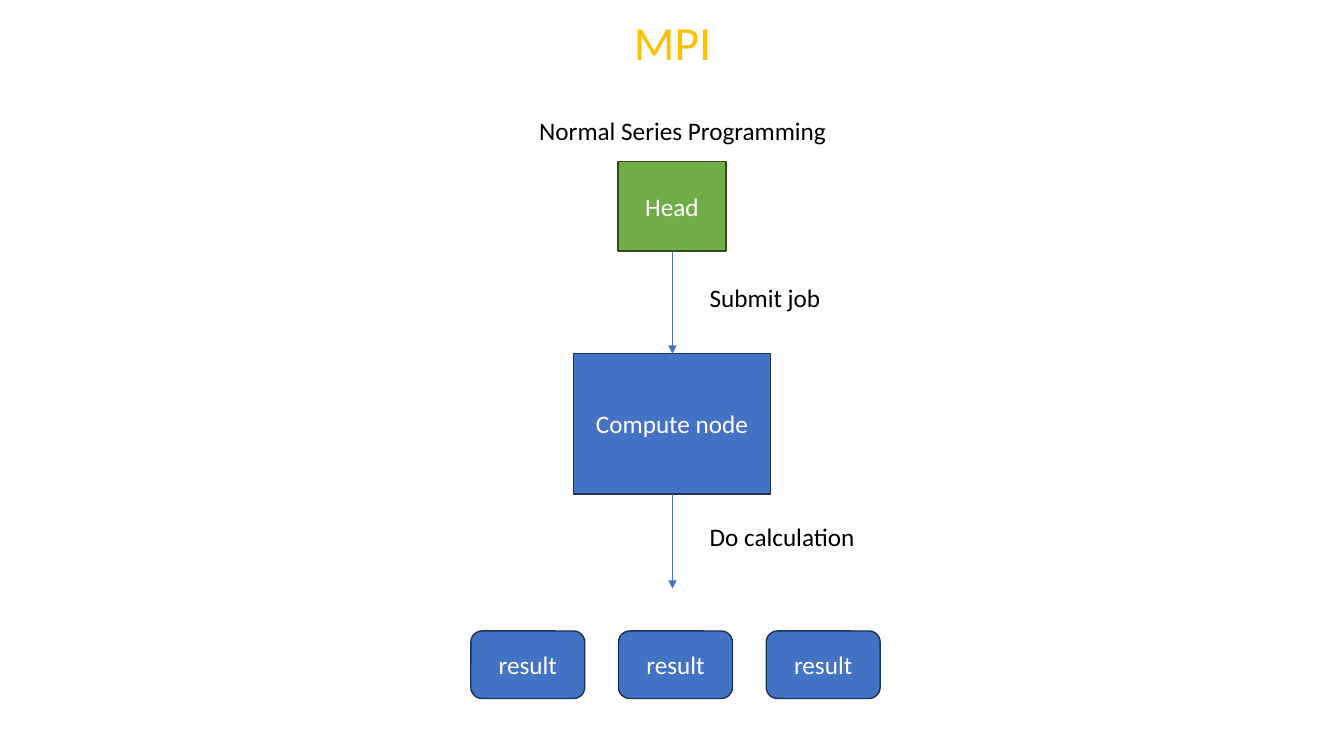
from lxml.etree import SubElement
from pptx import Presentation
from pptx.dml.color import RGBColor
from pptx.enum.shapes import MSO_CONNECTOR, MSO_SHAPE
from pptx.enum.text import MSO_ANCHOR, PP_ALIGN
from pptx.oxml.ns import qn
from pptx.util import Inches, Pt

GOLD = RGBColor(0xFF, 0xC0, 0x00)
GREEN = RGBColor(0x70, 0xAD, 0x47)
DARK_GREEN = RGBColor(0x31, 0x4C, 0x1F)
BLUE = RGBColor(0x44, 0x72, 0xC4)
DARK_BLUE = RGBColor(0x1E, 0x32, 0x56)
WHITE = RGBColor(0xFF, 0xFF, 0xFF)
BLACK = RGBColor(0x00, 0x00, 0x00)
FONT = "Calibri"
CENTER_X = 6.67


def write(shape, text, size, color, align):
    tf = shape.text_frame
    tf.word_wrap = True
    tf.text = text
    p = tf.paragraphs[0]
    p.alignment = align
    font = p.runs[0].font
    font.name = FONT
    font.size = Pt(size)
    font.color.rgb = color


def add_label(s, text, x, y, w, h=0.4, size=18, color=BLACK, align=PP_ALIGN.LEFT):
    box = s.shapes.add_textbox(Inches(x), Inches(y), Inches(w), Inches(h))
    write(box, text, size, color, align)


def add_box(s, text, x, y, w, h, kind=MSO_SHAPE.RECTANGLE, fill=BLUE, line=DARK_BLUE):
    sp = s.shapes.add_shape(kind, Inches(x), Inches(y), Inches(w), Inches(h))
    sp.shadow.inherit = False
    sp.fill.solid()
    sp.fill.fore_color.rgb = fill
    sp.line.color.rgb = line
    sp.line.width = Pt(1)
    sp.text_frame.vertical_anchor = MSO_ANCHOR.MIDDLE
    write(sp, text, 18, WHITE, PP_ALIGN.CENTER)


def add_down_arrow(s, top, bottom):
    x = Inches(CENTER_X)
    c = s.shapes.add_connector(MSO_CONNECTOR.STRAIGHT, x, Inches(top), x, Inches(bottom))
    c.line.color.rgb = BLUE
    c.line.width = Pt(0.5)
    SubElement(c.line._get_or_add_ln(), qn("a:tailEnd"), type="triangle")
    SubElement(c._element.spPr, qn("a:effectLst"))


def main():
    prs = Presentation()
    prs.slide_width = Inches(13.33)
    prs.slide_height = Inches(7.5)
    s = prs.slides.add_slide(prs.slide_layouts[6])

    add_label(s, "MPI", 1.91, 0.08, 9.52, 0.67, 34, GOLD, PP_ALIGN.CENTER)
    add_label(s, "Normal Series Programming", 5.25, 1.09, 3.16)
    add_box(s, "Head", 6.13, 1.6, 1.07, 0.89, fill=GREEN, line=DARK_GREEN)
    add_box(s, "Compute node", 5.69, 3.51, 1.95, 1.39)
    steps = [("Submit job", 2.75, 2.49, 3.51), ("Do calculation", 5.12, 4.9, 5.84)]
    for text, y, top, bottom in steps:
        add_down_arrow(s, top, bottom)
        add_label(s, text, 6.94, y, 1.67)
    for i in range(3):
        add_box(s, "result", 4.67 + 1.465 * i, 6.26, 1.13, 0.67, MSO_SHAPE.ROUNDED_RECTANGLE)

    prs.save("out.pptx")


if __name__ == "__main__":
    main()
